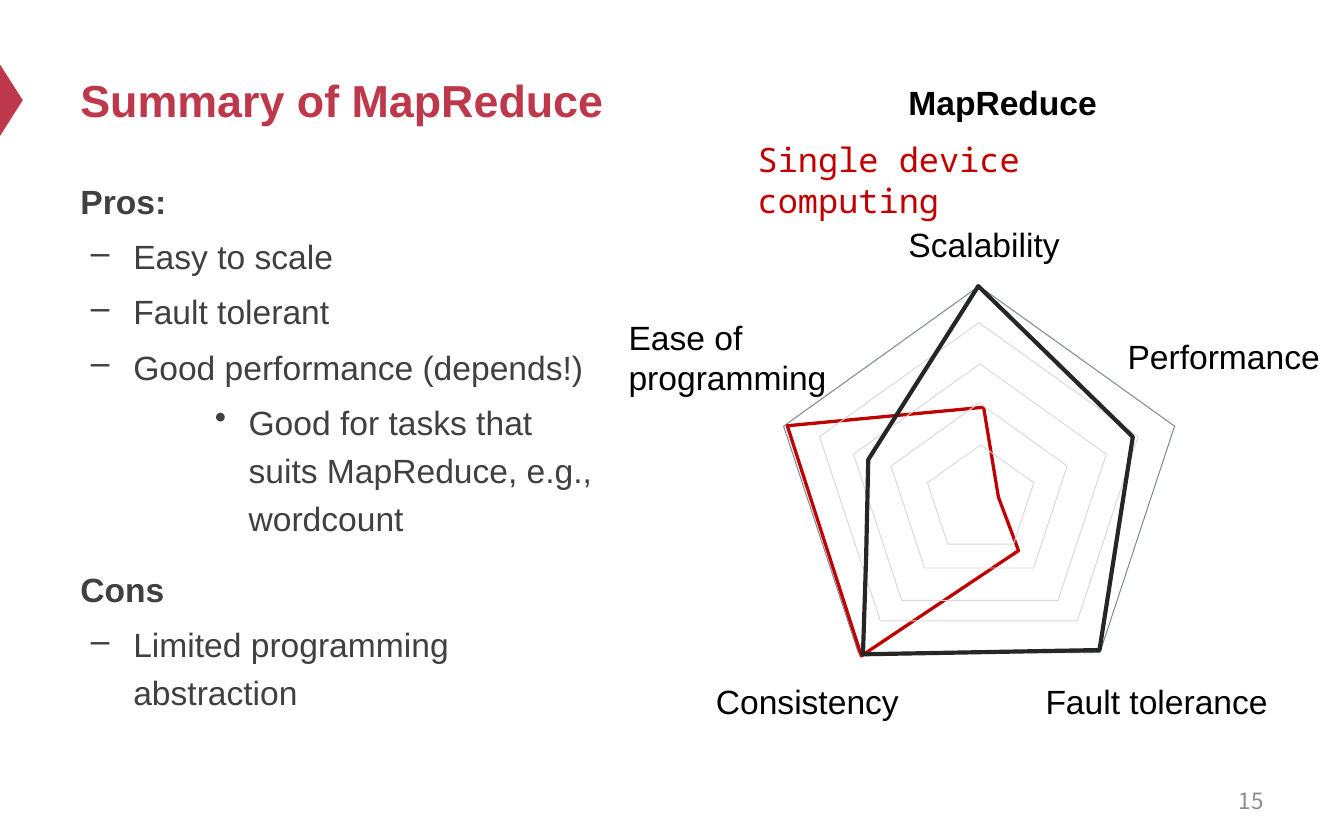
from dataclasses import dataclass

from lxml import etree
from pptx import Presentation, util as u
from pptx.dml.color import RGBColor
from pptx.enum import shapes, text
from pptx.oxml import ns


@dataclass(frozen=True)
class Theme:
    font: str = "Arial"
    mono: str = "Noto Sans Mono"
    number_font: str = "Noto Sans CJK SC"
    accent: str = "BE384B"
    body: str = "404040"
    label: str = "000000"
    number: str = "8C8C8C"
    outer_ring: str = "778495"
    inner_ring: str = "D9D9D9"
    single_device: str = "C00000"
    map_reduce: str = "262626"
    title_size: float = 24
    text_size: float = 18
    number_size: float = 12


THEME = Theme()

# level: left margin and first-line indent (cm), bullet, space before (pt), bold
LEVELS = {
    0: (0, 0, None, 12, True),
    1: (1, -0.8, "–", 3.6, False),
    2: (3.18, -0.64, "•", 3.6, False),
}
BODY = [
    (0, "Pros:"),
    (1, "Easy to scale"),
    (1, "Fault tolerant"),
    (1, "Good performance (depends!)"),
    (2, "Good for tasks that suits MapReduce, e.g., wordcount"),
    (0, "Cons"),
    (1, "Limited programming abstraction"),
]
AXIS_LABELS = [
    ("Scalability", (16.92, 4.11, 3.4, 1.02)),
    ("Consistency", (13.28, 12.75, 4.01, 1.02)),
    ("Fault tolerance", (19.51, 12.75, 4.93, 1.02)),
    ("Ease of\nprogramming", (11.63, 5.87, 4.29, 1.8)),
    ("Performance", (21.06, 6.22, 4.19, 1.02)),
]
OUTER_RING = (14.81, 5.41, 7.39, 6.93)
INNER_RINGS = [
    (15.49, 6.1, 6.02, 5.64),
    (16.13, 6.88, 4.78, 4.47),
    (16.84, 7.62, 3.33, 3.12),
    (17.53, 8.41, 2.01, 1.88),
]
SINGLE_DEVICE = [(14.88, 8.05), (18.59, 7.7), (18.87, 9.4), (19.25, 10.41), (16.28, 12.4)]
MAP_REDUCE = [(16.41, 8.69), (18.49, 5.41), (21.41, 8.26), (20.78, 12.29),
              (16.31, 12.37), (16.37, 10.53)]


def cm(values):
    return [u.Cm(value) for value in values]


def set_font(font, color, **formats):
    formats = {"name": THEME.font, "size": u.Pt(THEME.text_size), **formats}
    for name, value in formats.items():
        setattr(font, name, value)
    font.color.rgb = RGBColor.from_string(color)


def add_text(page, words, place, color, wrap=False, anchor=text.MSO_ANCHOR.TOP,
             align=text.PP_ALIGN.LEFT, **formats):
    frame = page.shapes.add_textbox(*cm(place)).text_frame
    frame.word_wrap = wrap
    frame.vertical_anchor = anchor
    frame.text = words
    for para in frame.paragraphs:
        para.alignment = align
        for span in para.runs:
            set_font(span.font, color, **formats)


def add_body(page, place):
    frame = page.shapes.add_textbox(*cm(place)).text_frame
    frame.word_wrap = True
    for index, (level, words) in enumerate(BODY):
        margin, indent, bullet, before, bold = LEVELS[level]
        para = frame.add_paragraph() if index else frame.paragraphs[0]
        para.level = level
        if bullet:
            properties = para._p.get_or_add_pPr()
            properties.set("marL", str(u.Cm(margin)))
            properties.set("indent", str(u.Cm(indent)))
            etree.SubElement(properties, ns.qn("a:buChar")).set("char", bullet)
        para.line_spacing = 1.2
        para.space_before = u.Pt(before if index else 0)
        span = para.add_run()
        span.text = words
        set_font(span.font, THEME.body, bold=bold)


def outline(shape, color, width):
    shape.shadow.inherit = False
    shape.fill.background()
    shape.line.color.rgb = RGBColor.from_string(color)
    shape.line.width = u.Pt(width)


def add_ring(page, place, color):
    ring = page.shapes.add_shape(shapes.MSO_SHAPE.REGULAR_PENTAGON, *cm(place))
    outline(ring, color, 0.5)


def add_profile(page, points, color, width):
    """Draw one system's closed outline on the radar."""
    start, *others = [cm(point) for point in points]
    builder = page.shapes.build_freeform(*start)
    builder.add_line_segments(others, close=True)
    outline(builder.convert_to_shape(), color, width)


def add_marker(page):
    """Draw the triangle on the left edge beside the title."""
    marker = page.shapes.add_shape(shapes.MSO_SHAPE.ISOSCELES_TRIANGLE,
                                   *cm((-0.46, 1.68, 1.35, 0.43)))
    marker.rotation = 90
    marker.shadow.inherit = False
    marker.fill.solid()
    marker.fill.fore_color.rgb = RGBColor.from_string(THEME.accent)
    marker.line.fill.background()


def main():
    deck = Presentation()
    deck.slide_width, deck.slide_height = cm((25.4, 15.88))
    page = deck.slides.add_slide(deck.slide_layouts[6])

    add_marker(page)
    add_text(page, "Summary of MapReduce", (1.27, 0.64, 22.86, 2.49), THEME.accent, wrap=True,
             anchor=text.MSO_ANCHOR.MIDDLE, size=u.Pt(THEME.title_size), bold=True)
    add_body(page, (1.27, 3.15, 10.26, 11.58))
    add_text(page, "15", (18.21, 14.71, 5.92, 0.84), THEME.number, wrap=True,
             anchor=text.MSO_ANCHOR.MIDDLE, align=text.PP_ALIGN.RIGHT,
             name=THEME.number_font, size=u.Pt(THEME.number_size))

    for words, place in AXIS_LABELS:
        add_text(page, words, place, THEME.label)
    add_ring(page, OUTER_RING, THEME.outer_ring)
    add_profile(page, SINGLE_DEVICE, THEME.single_device, 1.75)
    for place in INNER_RINGS:
        add_ring(page, place, THEME.inner_ring)
    add_text(page, "Single device computing", (14.07, 2.51, 8.61, 1.02),
             THEME.single_device, wrap=True, name=THEME.mono)
    add_profile(page, MAP_REDUCE, THEME.map_reduce, 2.25)
    add_text(page, "MapReduce", (16.92, 1.42, 4.29, 1.02), THEME.label, bold=True)

    deck.save("out.pptx")


if __name__ == "__main__":
    main()
